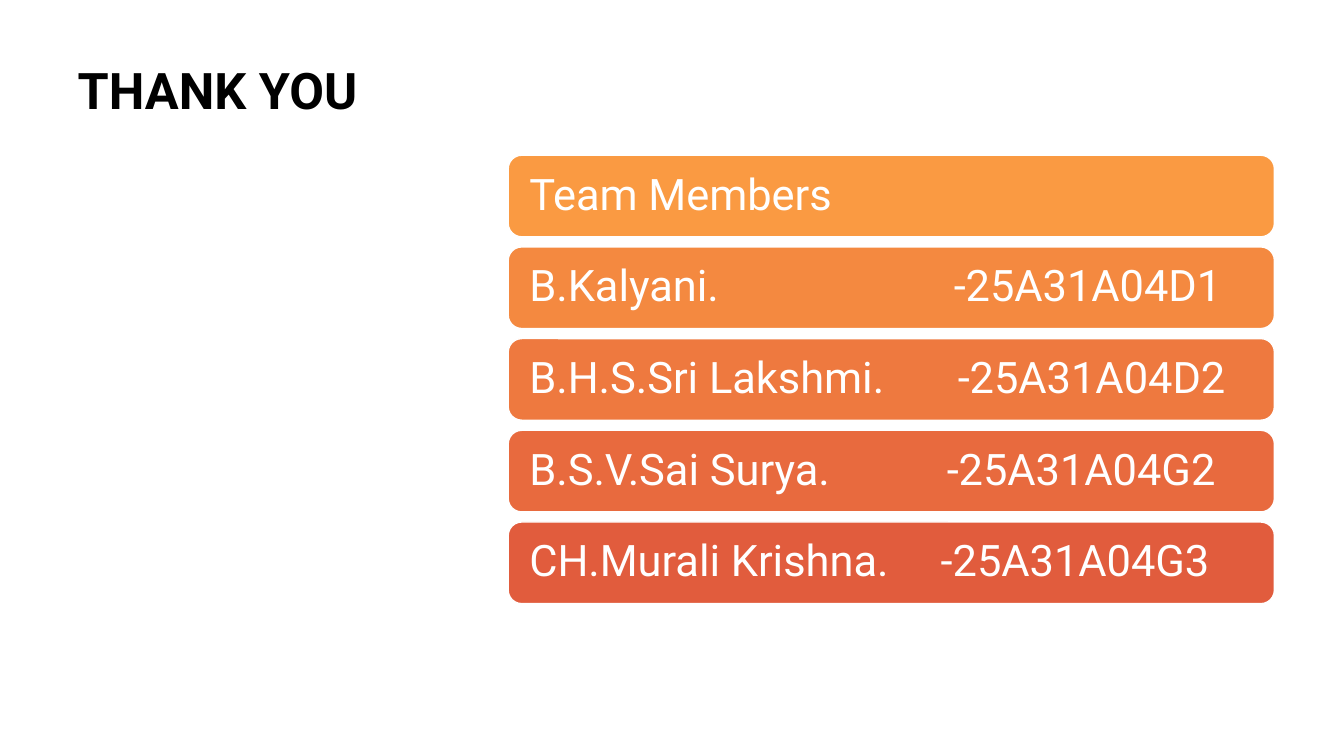
from dataclasses import dataclass

from lxml.etree import SubElement
from pptx import Presentation
from pptx.dml.color import RGBColor
from pptx.enum.shapes import MSO_SHAPE as Preset
from pptx.enum.text import MSO_ANCHOR as Anchor, MSO_AUTO_SIZE as AutoSize, PP_ALIGN as Align
from pptx.oxml.ns import qn
from pptx.slide import Slide
from pptx.text.text import TextFrame
from pptx.util import Inches, Pt

SLIDE_WIDTH, SLIDE_HEIGHT = Inches(13.33), Inches(7.5)
# The slide is a grid of 100 columns and 100 rows.
COLUMN, ROW = SLIDE_WIDTH / 100, SLIDE_HEIGHT / 100

BLACK = RGBColor(0x00, 0x00, 0x00)
WHITE = RGBColor(0xFF, 0xFF, 0xFF)
AMBER = RGBColor(0xFA, 0x9A, 0x42)
LIGHT_ORANGE = RGBColor(0xF4, 0x89, 0x40)
ORANGE = RGBColor(0xEE, 0x79, 0x3F)
DARK_ORANGE = RGBColor(0xE8, 0x6A, 0x3E)
RED_ORANGE = RGBColor(0xE1, 0x5C, 0x3D)

TITLE_FONT = {"name": "Roboto", "size": Pt(36), "bold": True}
BAR_FONT = {"name": "Roboto", "size": Pt(31), "bold": False}
TITLE_FRAME = {"word_wrap": True, "auto_size": AutoSize.NONE, "vertical_anchor": Anchor.TOP}
BAR_FRAME = {
    "word_wrap": True,
    "auto_size": AutoSize.NONE,
    "vertical_anchor": Anchor.MIDDLE,
    "margin_left": round(1.28 * COLUMN),
    "margin_right": round(1.28 * COLUMN),
}

BARS_LEFT, BARS_WIDTH = 37.81, 57.01
BARS_TOP, BAR_HEIGHT, BAR_PITCH = 20.53, 10.8, 12.13


@dataclass(frozen=True)
class Bar:
    label: str
    fill: RGBColor
    roll_number: str = ""
    roll_column: float = 0


BARS = (
    Bar("Team Members", AMBER),
    Bar("B.Kalyani.", LIGHT_ORANGE, "-25A31A04D1", 31.58),
    Bar("B.H.S.Sri Lakshmi.", ORANGE, "-25A31A04D2", 31.88),
    Bar("B.S.V.Sai Surya.", DARK_ORANGE, "-25A31A04G2", 31.06),
    Bar("CH.Murali Krishna.", RED_ORANGE, "-25A31A04G3", 30.61),
)


def grid_box(left: float, top: float, width: float, height: float) -> tuple[int, ...]:
    """Turn grid columns and rows into slide lengths."""
    return round(left * COLUMN), round(top * ROW), round(width * COLUMN), round(height * ROW)


def apply_format(target: object, values: dict) -> None:
    for attribute, value in values.items():
        setattr(target, attribute, value)


def write_line(frame: TextFrame, text: str, frame_format: dict, font_format: dict,
               color: RGBColor) -> None:
    apply_format(frame, frame_format)
    line = frame.paragraphs[0]
    line.alignment = Align.LEFT
    line.line_spacing = 0.9
    run = line.add_run()
    run.text = text
    apply_format(run.font, font_format)
    run.font.color.rgb = color


def add_tab_stop(frame: TextFrame, column: float) -> None:
    properties = frame.paragraphs[0]._p.get_or_add_pPr()
    stops = SubElement(properties, qn("a:tabLst"))
    SubElement(stops, qn("a:tab"), pos=str(round(column * COLUMN)), algn="l")


def add_title(slide: Slide) -> None:
    title = slide.shapes.title
    title.left, title.top, title.width, title.height = grid_box(5.03, 8, 28.66, 84.4)
    write_line(title.text_frame, "THANK YOU", TITLE_FRAME, TITLE_FONT, BLACK)


def add_bar(slide: Slide, bar: Bar, index: int) -> None:
    top = BARS_TOP + index * BAR_PITCH
    panel = slide.shapes.add_shape(
        Preset.ROUNDED_RECTANGLE, *grid_box(BARS_LEFT, top, BARS_WIDTH, BAR_HEIGHT))
    panel.shadow.inherit = False
    panel.fill.solid()
    panel.fill.fore_color.rgb = bar.fill
    panel.line.color.rgb = WHITE
    panel.line.width = Pt(1)
    text = f"{bar.label}\t{bar.roll_number}" if bar.roll_number else bar.label
    write_line(panel.text_frame, text, BAR_FRAME, BAR_FONT, WHITE)
    if bar.roll_number:
        add_tab_stop(panel.text_frame, bar.roll_column)


def main() -> None:
    deck = Presentation()
    deck.slide_width, deck.slide_height = SLIDE_WIDTH, SLIDE_HEIGHT
    slide = deck.slides.add_slide(deck.slide_layouts.get_by_name("Title Only"))
    add_title(slide)
    for index, bar in enumerate(BARS):
        add_bar(slide, bar, index)
    deck.save("out.pptx")


if __name__ == "__main__":
    main()
